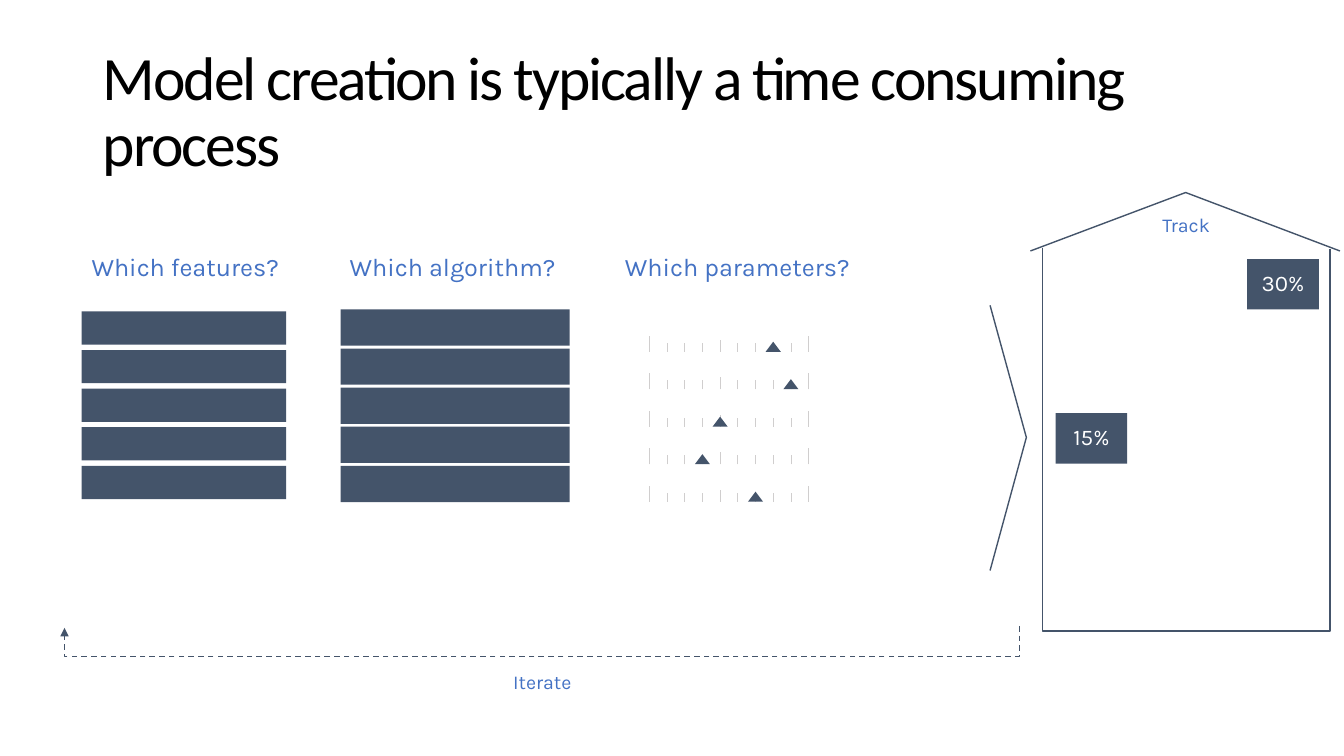
from dataclasses import dataclass

from lxml.etree import SubElement
from pptx import Presentation
from pptx.dml.color import RGBColor
from pptx.enum.dml import MSO_LINE
from pptx.enum.shapes import MSO_CONNECTOR, MSO_SHAPE
from pptx.enum.text import MSO_ANCHOR, PP_ALIGN
from pptx.oxml.ns import qn
from pptx.util import Inches, Pt

TITLE = "Model creation is typically a time consuming process"
HEADINGS = [
    ("Which features?", (0.81, 2.48, 2.26, 0.38)),
    ("Which algorithm?", (3.37, 2.48, 2.42, 0.38)),
    ("Which parameters?", (6.1, 2.48, 2.64, 0.38)),
]
CAPTIONS = [
    ("Track", (10.51, 2.09, 2.51, 0.34)),
    ("Iterate", (4.4, 6.62, 1.96, 0.32)),
]
SCORES = [("30%", (12.37, 2.57, 0.71, 0.5)), ("15%", (10.47, 4.1, 0.71, 0.5))]
BAR_STACKS = [
    {"left": 0.81, "top": 3.09, "width": 2.03, "height": 0.33, "pitch": 0.383},
    {"left": 3.38, "top": 3.07, "width": 2.27, "height": 0.36, "pitch": 0.388},
]
BAR_COUNT = 5
SLIDER_SETTINGS = [7, 8, 4, 3, 6]
TICK_HEIGHTS = [0.16, 0.09, 0.09, 0.09, 0.12, 0.09, 0.09, 0.09, 0.09, 0.16]
SLIDER_LEFT, SLIDER_RIGHT = 6.44, 8.02
SLIDER_BASE, SLIDER_PITCH = 3.49, 0.372
MARKER_WIDTH, MARKER_HEIGHT = 0.15, 0.1
OUTLINES = [
    [(10.22, 2.49), (11.76, 1.91), (13.29, 2.49)],
    [(13.19, 2.47), (13.19, 6.26), (10.34, 6.26), (10.34, 2.46)],
    [(9.82, 3.03), (10.18, 4.34), (9.82, 5.66)],
]
LOOP = {"left": 0.64, "right": 10.11, "start": 6.21, "end": 6.23, "bottom": 6.51}


@dataclass(frozen=True)
class Theme:
    slate: RGBColor = RGBColor(0x44, 0x54, 0x6A)
    blue: RGBColor = RGBColor(0x44, 0x72, 0xC4)
    gray: RGBColor = RGBColor(0xD0, 0xCE, 0xCE)
    white: RGBColor = RGBColor(0xFF, 0xFF, 0xFF)
    black: RGBColor = RGBColor(0, 0, 0)
    title_font: str = "Calibri"
    body_font: str = "Karla"
    title_size: int = 44
    heading_size: int = 18
    score_size: int = 16
    caption_size: int = 14


theme = Theme()


def place(shape, bounds):
    shape.left, shape.top, shape.width, shape.height = map(Inches, bounds)


def write(box, text, size, color, font=theme.body_font, align=PP_ALIGN.LEFT):
    box.text_frame.word_wrap = True
    para = box.text_frame.paragraphs[0]
    para.text = text
    para.alignment = align
    para.line_spacing = 0.9
    para.font.name = font
    para.font.size = Pt(size)
    para.font.color.rgb = color
    return para


def add_label(page, text, bounds, size, align=PP_ALIGN.LEFT):
    box = page.shapes.add_textbox(*map(Inches, bounds))
    write(box, text, size, theme.blue, align=align)


def add_block(page, bounds, kind=MSO_SHAPE.RECTANGLE):
    block = page.shapes.add_shape(kind, *map(Inches, bounds))
    block.shadow.inherit = False
    block.fill.solid()
    block.fill.fore_color.rgb = theme.slate
    block.line.fill.background()
    return block


def add_line(page, kind, start, end, color, weight):
    line = page.shapes.add_connector(kind, *map(Inches, start + end))
    line.line.color.rgb = color
    line.line.width = Pt(weight)
    SubElement(line._element.spPr, qn("a:effectLst"))
    return line


def add_outline(page, points):
    corners = [(Inches(x), Inches(y)) for x, y in points]
    builder = page.shapes.build_freeform(*corners[0])
    builder.add_line_segments(corners[1:], close=False)
    outline = builder.convert_to_shape()
    outline.shadow.inherit = False
    outline.fill.background()
    outline.line.color.rgb = theme.slate
    outline.line.width = Pt(1)


def add_slider(page, base, setting):
    step = (SLIDER_RIGHT - SLIDER_LEFT) / (len(TICK_HEIGHTS) - 1)
    for index, height in enumerate(TICK_HEIGHTS):
        x = SLIDER_LEFT + index * step
        add_line(page, MSO_CONNECTOR.STRAIGHT, (x, base), (x, base - height), theme.gray, 0.5)
    left = SLIDER_LEFT + setting * step - MARKER_WIDTH / 2
    bounds = (left, base - MARKER_HEIGHT, MARKER_WIDTH, MARKER_HEIGHT)
    add_block(page, bounds, MSO_SHAPE.ISOSCELES_TRIANGLE)


def add_loop(page):
    drop, span = LOOP["end"] - LOOP["start"], LOOP["right"] - LOOP["left"]
    left = (LOOP["left"] + LOOP["right"] - drop) / 2
    top = (LOOP["start"] + LOOP["end"] - span) / 2
    loop = add_line(page, MSO_CONNECTOR.ELBOW, (left, top), (left + drop, top + span), theme.slate, 1)
    loop.line.dash_style = MSO_LINE.DASH
    properties = loop._element.spPr
    properties.find(qn("a:xfrm")).set("rot", str(90 * 60000))
    adjustments = properties.find(qn("a:prstGeom")).find(qn("a:avLst"))
    bend = round((LOOP["bottom"] - LOOP["start"]) / drop * 100000)
    SubElement(adjustments, qn("a:gd"), name="adj1", fmla=f"val {bend}")
    SubElement(properties.find(qn("a:ln")), qn("a:tailEnd"), type="triangle")


def main():
    deck = Presentation()
    deck.slide_width, deck.slide_height = Inches(13.33), Inches(7.5)
    page = deck.slides.add_slide(deck.slide_layouts[5])

    title = page.shapes.title
    place(title, (0.92, 0.4, 11.5, 1.45))
    title.text_frame.vertical_anchor = MSO_ANCHOR.MIDDLE
    para = write(title, TITLE, theme.title_size, theme.black, theme.title_font)
    para.runs[0]._r.get_or_add_rPr().set("spc", "-150")

    for text, bounds in CAPTIONS:
        add_label(page, text, bounds, theme.caption_size, PP_ALIGN.CENTER)
    for text, bounds in HEADINGS:
        add_label(page, text, bounds, theme.heading_size)
    for points in OUTLINES:
        add_outline(page, points)
    for stack in BAR_STACKS:
        for index in range(BAR_COUNT):
            top = stack["top"] + index * stack["pitch"]
            add_block(page, (stack["left"], top, stack["width"], stack["height"]))
    for index, setting in enumerate(SLIDER_SETTINGS):
        add_slider(page, SLIDER_BASE + index * SLIDER_PITCH, setting)
    for text, bounds in SCORES:
        score = add_block(page, bounds)
        score.text_frame.vertical_anchor = MSO_ANCHOR.MIDDLE
        write(score, text, theme.score_size, theme.white, align=PP_ALIGN.CENTER)
    add_loop(page)

    deck.save("out.pptx")


if __name__ == "__main__":
    main()
